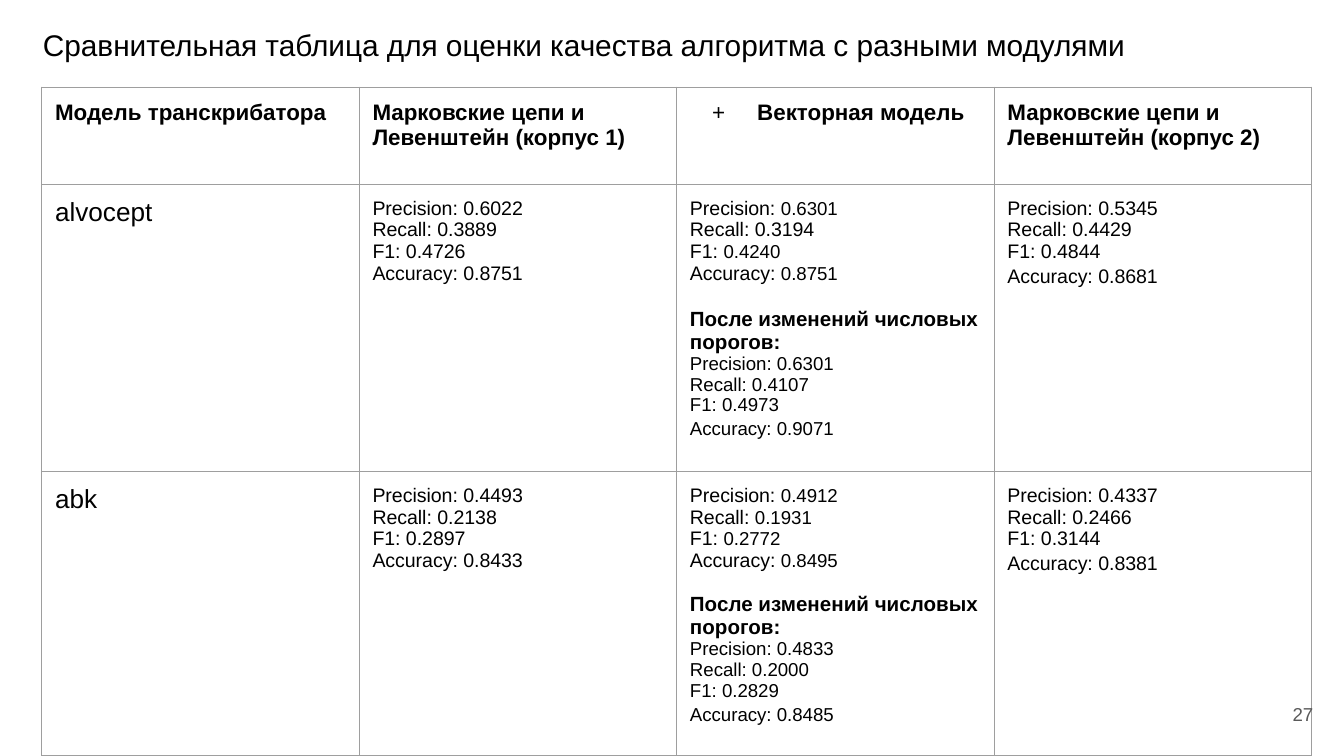
"""Build the slide that compares transcription quality across modules."""
import lxml.etree
import pptx
import pptx.dml.color
import pptx.enum.text
import pptx.oxml.ns
import pptx.util

Cm, Pt = pptx.util.Cm, pptx.util.Pt
ALIGN, ANCHOR = pptx.enum.text.PP_ALIGN, pptx.enum.text.MSO_ANCHOR
INSET = Cm(0.25)
COLUMN_WIDTH = Cm(6)
ROW_HEIGHTS = [Cm(1.83), Cm(5.43), Cm(5.38)]
METRICS = ["Precision", "Recall", "F1", "Accuracy"]
RETUNED = "После изменений числовых порогов:"
HEADERS = ["Модель транскрибатора", "Марковские цепи и Левенштейн (корпус 1)",
           "Векторная модель", "Марковские цепи и Левенштейн (корпус 2)"]
MODELS = [
    {"name": "alvocept", "gap": 12.5, "value_sizes": [10, 10.5, 10, 10],
     "corpus1": ["0.6022", "0.3889", "0.4726", "0.8751"],
     "vector": ["0.6301", "0.3194", "0.4240", "0.8751"],
     "retuned": ["0.6301", "0.4107", "0.4973", "0.9071"],
     "corpus2": ["0.5345", "0.4429", "0.4844", "0.8681"]},
    {"name": "abk", "gap": 11.5, "value_sizes": [10, 10, 10, 10],
     "corpus1": ["0.4493", "0.2138", "0.2897", "0.8433"],
     "vector": ["0.4912", "0.1931", "0.2772", "0.8495"],
     "retuned": ["0.4833", "0.2000", "0.2829", "0.8485"],
     "corpus2": ["0.4337", "0.2466", "0.3144", "0.8381"]},
]


def color(value):
    """Return the colour for a hex string."""
    return pptx.dml.color.RGBColor.from_string(value)


def apply(target, values):
    """Set every attribute named in values on the target."""
    for name, value in values.items():
        setattr(target, name, value)


def add_child(parent, tag, **attributes):
    """Append a DrawingML element to the parent."""
    return lxml.etree.SubElement(parent, pptx.oxml.ns.qn(tag), attributes)


def add_span(para, text, size, bold=False, fill="000000"):
    """Add a formatted run to a paragraph."""
    span = para.add_run()
    span.text = text
    apply(span.font, {"name": "Arial", "size": Pt(size), "bold": bold})
    span.font.color.rgb = color(fill)


def next_para(frame):
    """Return the empty first paragraph or a new one."""
    first = frame.paragraphs[0]
    return frame.add_paragraph() if first.runs else first


def format_frame(frame, anchor):
    """Give a text frame its insets, wrapping and anchor."""
    apply(frame, {"margin_left": INSET, "margin_right": INSET,
                  "margin_top": INSET, "margin_bottom": INSET,
                  "word_wrap": True, "vertical_anchor": anchor,
                  "auto_size": pptx.enum.text.MSO_AUTO_SIZE.NONE})


def add_title(page, text):
    """Move and fill the title placeholder."""
    box = page.shapes.title
    apply(box, {"left": Cm(0.56), "top": Cm(0.25),
                "width": Cm(24.23), "height": Cm(0.97)})
    format_frame(box.text_frame, ANCHOR.TOP)
    para = box.text_frame.paragraphs[0]
    para.alignment = ALIGN.LEFT
    add_span(para, text, 16)


def add_page_number(page, text):
    """Add the page number at the lower right."""
    box = page.shapes.add_textbox(Cm(23.55), Cm(12.95), Cm(1.52), Cm(1.09))
    format_frame(box.text_frame, ANCHOR.MIDDLE)
    para = box.text_frame.paragraphs[0]
    para.alignment = ALIGN.RIGHT
    add_span(para, text, 10, fill="595959")


def format_cell(cell):
    """Give a cell grey borders, even insets and no fill."""
    apply(cell, {"margin_left": INSET, "margin_right": INSET,
                 "margin_top": INSET, "margin_bottom": INSET})
    properties = cell._tc.get_or_add_tcPr()
    for side in ("a:lnL", "a:lnR", "a:lnT", "a:lnB"):
        line = add_child(properties, side, w=str(Pt(0.75)))
        add_child(add_child(line, "a:solidFill"), "a:srgbClr", val="9E9E9E")
    cell.fill.background()


def add_plus_bullet(para):
    """Mark a paragraph with a plus sign and a hanging indent."""
    properties = para._p.get_or_add_pPr()
    properties.set("marL", str(Cm(1.27)))
    properties.set("indent", str(Cm(-0.85)))
    add_child(add_child(properties, "a:buClr"), "a:srgbClr", val="000000")
    add_child(properties, "a:buFont", typeface="Arial")
    add_child(properties, "a:buChar", char="+")


def add_metrics(frame, values, label_size, value_sizes, last_spacing=None):
    """Write one line for each metric."""
    for metric, value, size in zip(METRICS, values, value_sizes):
        para = next_para(frame)
        add_span(para, f"{metric}: ", label_size)
        add_span(para, value, size)
    para.line_spacing = last_spacing


def fill_model_row(cells, model):
    """Write a model's name and its results."""
    name, corpus1, vector, corpus2 = [cell.text_frame for cell in cells]
    add_span(next_para(name), model["name"], 14)
    add_metrics(corpus1, model["corpus1"], 10.5, [10.5] * 4)
    add_metrics(vector, model["vector"], 10.5, model["value_sizes"])
    para = next_para(vector)
    para.space_before = Pt(model["gap"])
    add_span(para, RETUNED, 11, bold=True)
    add_metrics(vector, model["retuned"], 10, [10] * 4, 1.15)
    add_metrics(corpus2, model["corpus2"], 10.5, [10.5] * 4, 1.15)


def add_results_table(page):
    """Add the table of results."""
    table = page.shapes.add_table(
        len(ROW_HEIGHTS), len(HEADERS), Cm(0.79), Cm(1.65),
        COLUMN_WIDTH * len(HEADERS), sum(ROW_HEIGHTS)).table
    apply(table, {"first_row": False, "horz_banding": False})
    for column in table.columns:
        column.width = COLUMN_WIDTH
    for row, height in zip(table.rows, ROW_HEIGHTS):
        row.height = height
    for cell in table.iter_cells():
        format_cell(cell)
    for cell, header in zip(table.rows[0].cells, HEADERS):
        add_span(next_para(cell.text_frame), header, 12, bold=True)
    add_plus_bullet(table.cell(0, 2).text_frame.paragraphs[0])
    for index, model in enumerate(MODELS, start=1):
        fill_model_row(table.rows[index].cells, model)


def main():
    """Build and save the deck."""
    deck = pptx.Presentation()
    apply(deck, {"slide_width": Cm(25.4), "slide_height": Cm(14.29)})
    page = deck.slides.add_slide(deck.slide_layouts[5])
    add_title(page, "Сравнительная таблица для оценки качества "
                    "алгоритма с разными модулями")
    add_results_table(page)
    add_page_number(page, "27")
    deck.save("out.pptx")


if __name__ == "__main__":
    main()
